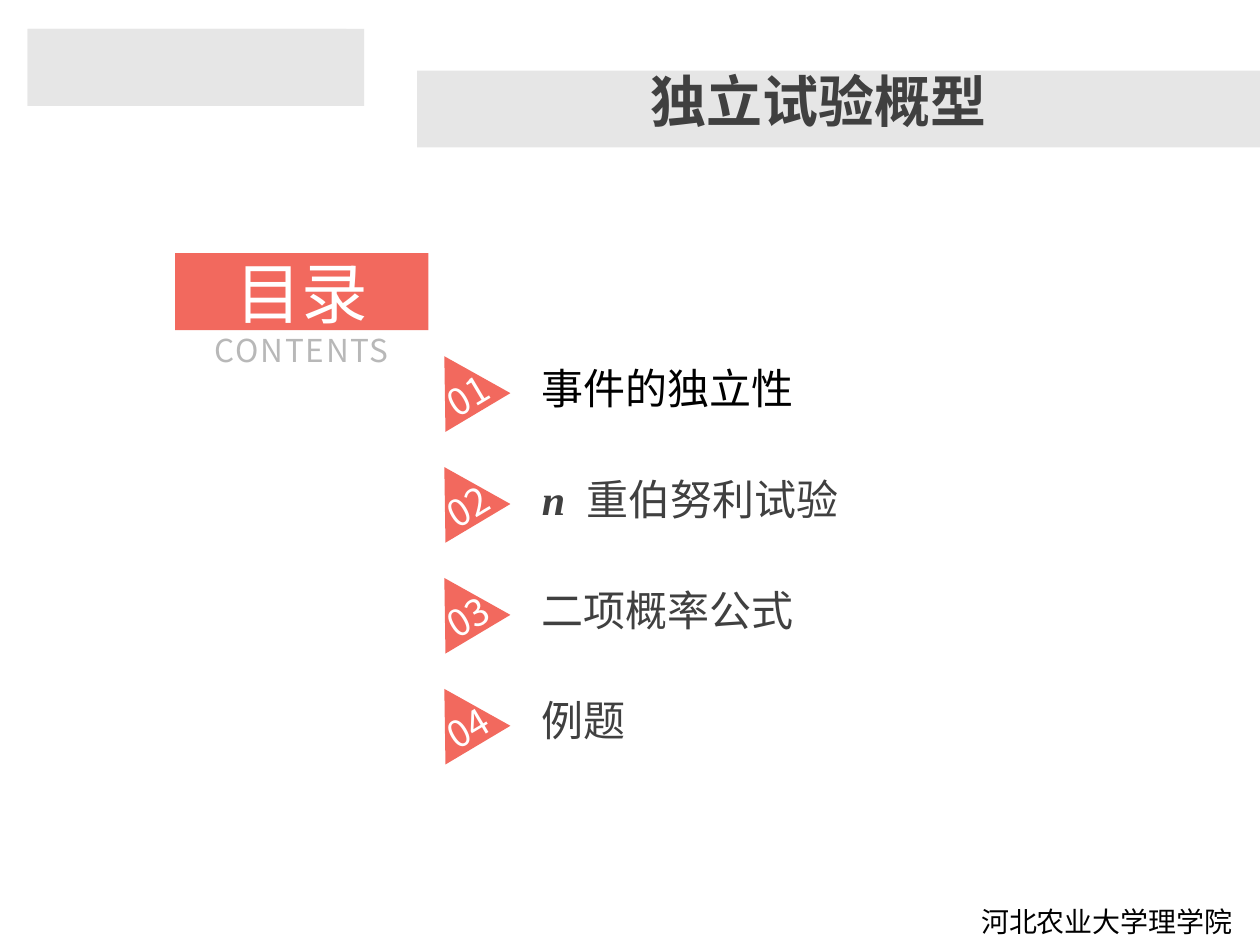
from pptx import Presentation
from pptx.dml.color import RGBColor
from pptx.enum.shapes import MSO_SHAPE
from pptx.enum.text import MSO_ANCHOR, PP_ALIGN
from pptx.util import Inches, Pt

RECTANGLE = MSO_SHAPE.RECTANGLE
TOP, MIDDLE = MSO_ANCHOR.TOP, MSO_ANCHOR.MIDDLE
LEFT, CENTER, RIGHT = PP_ALIGN.LEFT, PP_ALIGN.CENTER, PP_ALIGN.RIGHT

SANS, SERIF = "Noto Sans CJK SC", "Times New Roman"
CORAL, BAND, DARK, BLACK, WHITE, PALE = (
    "F2695E", "E6E6E6", "404040", "000000", "FFFFFF", "B8B8B8")

BANDS = [(0.22, 0.23, 2.53, 0.61), (3.31, 0.56, 6.69, 0.61), (0.22, 0.23, 2.67, 0.61)]
VARIABLE = dict(font=SERIF, bold=True, italic=True, spacing=3)
TOPICS = [
    (BLACK, [("事件的独立性", {})]),
    (DARK, [("n ", VARIABLE), ("重伯努利试验", {})]),
    (DARK, [("二项概率公式", {})]),
    (DARK, [("例题", {})]),
]
TOPIC_TOP, TOPIC_PITCH = 2.83, 0.88
MARKER_LEFT, MARKER_WIDTH, MARKER_HEIGHT, MARKER_TURN = 3.36, 0.6, 0.52, 329.2


def color(code):
    return RGBColor.from_string(code)


def paint(shape, code):
    shape.shadow.inherit = False
    shape.fill.solid()
    shape.fill.fore_color.rgb = color(code)
    shape.line.fill.background()
    return shape


def add_span(para, text, size, fill, font=SANS, bold=False, italic=False, spacing=0):
    span = para.add_run()
    span.text = text
    span.font.size = Pt(size)
    span.font.name = font
    span.font.bold = bold
    span.font.italic = italic
    span.font.color.rgb = color(fill)
    properties = span.font._element
    if spacing:
        properties.set("spc", str(spacing * 100))
    east_asian = properties.makeelement(
        "{http://schemas.openxmlformats.org/drawingml/2006/main}ea", {"typeface": font})
    properties.append(east_asian)


def write(shape, spans, size, fill, align=LEFT, anchor=MIDDLE, insets=(0, 0, 0, 0)):
    frame = shape.text_frame
    frame.word_wrap = True
    frame.vertical_anchor = anchor
    frame.margin_left, frame.margin_top, frame.margin_right, frame.margin_bottom = map(
        Inches, insets)
    para = frame.paragraphs[0]
    para.alignment = align
    for text, style in spans:
        add_span(para, text, size, fill, **style)


def add_rectangle(page, place, code):
    return paint(page.shapes.add_shape(RECTANGLE, *map(Inches, place)), code)


def add_text(page, place, spans, size, fill, **layout):
    box = page.shapes.add_textbox(*map(Inches, place))
    write(box, spans, size, fill, **layout)


def add_marker(page, top, label):
    bottom = top + MARKER_HEIGHT
    builder = page.shapes.build_freeform(
        Inches(MARKER_LEFT), Inches(bottom), scale=1.0)
    corners = [(MARKER_LEFT + MARKER_WIDTH / 2, top), (MARKER_LEFT + MARKER_WIDTH, bottom)]
    builder.add_line_segments([(Inches(x), Inches(y)) for x, y in corners], close=True)
    marker = paint(builder.convert_to_shape(), CORAL)
    marker.rotation = MARKER_TURN
    write(marker, [(label, {})], 21, WHITE, align=CENTER, insets=(0, 0.2, 0, 0))


deck = Presentation()
deck.slide_width, deck.slide_height = Inches(10), Inches(7.5)
page = deck.slides.add_slide(deck.slide_layouts[6])

for place in BANDS:
    add_rectangle(page, place, BAND)
add_text(page, (4.37, 7.13, 5.51, 0.37), [("河北农业大学理学院", {})], 16, BLACK,
         align=RIGHT, anchor=TOP, insets=(0.1, 0.05, 0.1, 0.05))

heading = add_rectangle(page, (1.39, 2.01, 2.01, 0.61), CORAL)
write(heading, [("目录", {})], 38, WHITE, align=CENTER)
add_text(page, (1.39, 2.63, 2.01, 0.53), [("CONTENTS", dict(spacing=1))], 18, PALE,
         align=CENTER, anchor=TOP)

for index, (fill, spans) in enumerate(TOPICS):
    top = TOPIC_TOP + index * TOPIC_PITCH
    add_text(page, (4.3, top, 4.05, 0.49), spans, 24, fill)
    add_marker(page, top - 0.04, f"{index + 1:02d}")

add_text(page, (4.45, 0.17, 3.47, 1.25), [("独立试验概型", dict(bold=True))], 32, DARK,
         align=RIGHT, insets=(0.09, 0.04, 0.09, 0.04))

deck.save("out.pptx")
